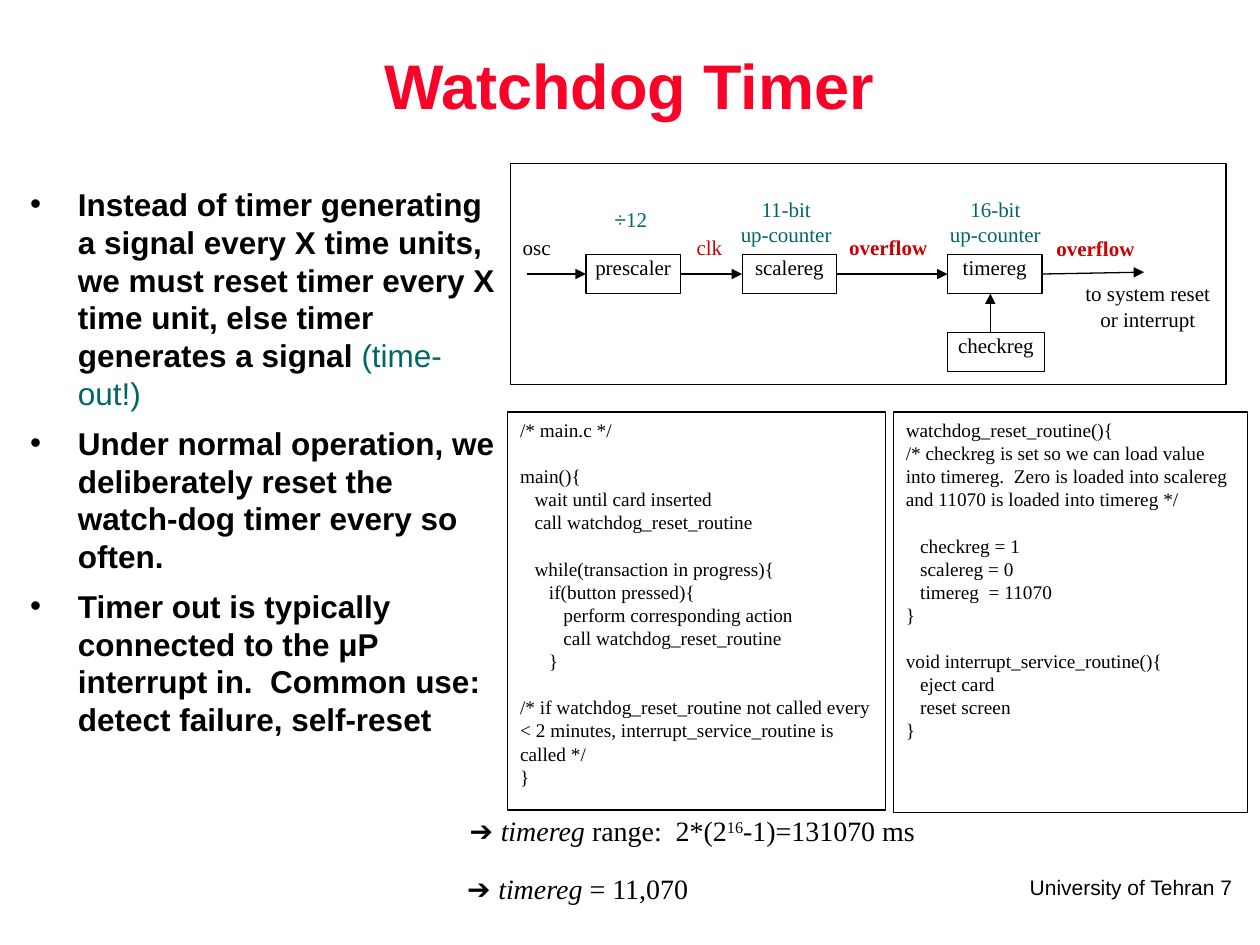
from lxml.etree import SubElement
from pptx import Presentation
from pptx.dml.color import RGBColor
from pptx.enum.shapes import MSO_CONNECTOR, MSO_SHAPE
from pptx.enum.text import MSO_ANCHOR, PP_ALIGN
from pptx.oxml.ns import qn
from pptx.util import Inches, Pt

BLACK = RGBColor(0x00, 0x00, 0x00)
TITLE_RED = RGBColor(0xFC, 0x01, 0x28)
SIGNAL_RED = RGBColor(0xCC, 0x00, 0x00)
TEAL = RGBColor(0x00, 0x66, 0x66)
SANS, SERIF = "Arial", "Times New Roman"
LEFT, CENTER, RIGHT = PP_ALIGN.LEFT, PP_ALIGN.CENTER, PP_ALIGN.RIGHT

ROW_Y, BOX_W, BOX_H = 2.02, 0.75, 0.31   # register row of the diagram
WIRE_Y = ROW_Y + BOX_H / 2
CODE_SIZE, CODE_LINE, CODE_STEP = 11, 13.2, 8.25   # points

# Code lines: (nesting level, blank lines before, text)
MAIN_CODE = [
    (0, 0, "/* main.c */"),
    (0, 1, "main(){"),
    (1, 0, "wait until card inserted"),
    (1, 0, "call watchdog_reset_routine"),
    (1, 1, "while(transaction in progress){"),
    (2, 0, "if(button pressed){"),
    (3, 0, "perform corresponding action"),
    (3, 0, "call watchdog_reset_routine"),
    (2, 0, "}"),
    (0, 1, "/* if watchdog_reset_routine not called every < 2 minutes, "
           "interrupt_service_routine is called */"),
    (0, 0, "}"),
]
RESET_CODE = [
    (0, 0, "watchdog_reset_routine(){"),
    (0, 0, "/* checkreg is set so we can load value into timereg.  Zero is "
           "loaded into scalereg and 11070 is loaded into timereg */"),
    (1, 1, "checkreg = 1"),
    (1, 0, "scalereg = 0"),
    (1, 0, "timereg  = 11070"),
    (0, 0, "}"),
    (0, 1, "void interrupt_service_routine(){"),
    (1, 0, "eject card"),
    (1, 0, "reset screen"),
    (0, 0, "}"),
]
BULLETS = [
    [("Instead of timer generating a signal every X time units, we must reset "
      "timer every X time unit, else timer generates a signal ", {}),
     ("(time-out!)", {"color": TEAL, "bold": False})],
    [("Under normal operation, we deliberately reset the watch-dog timer "
      "every so often.", {})],
    [("Timer out is typically connected to the μP interrupt in.  Common use: "
      "detect failure, self-reset", {})],
]


def write(p, text, size=12, font=SERIF, color=BLACK, bold=False, italic=False,
          raised=False):
    """Add one formatted run to a paragraph."""
    r = p.add_run()
    r.text = text
    f = r.font
    f.size, f.name, f.bold, f.italic = Pt(size), font, bold, italic
    f.color.rgb = color
    if raised:
        f._element.set("baseline", "30000")


def paragraphs(tf, count):
    return [tf.paragraphs[0]] + [tf.add_paragraph() for _ in range(count - 1)]


def set_frame(tf, padded, wrap=True):
    tf.word_wrap = wrap
    tf.vertical_anchor = MSO_ANCHOR.TOP
    tf.margin_left = tf.margin_right = Inches(0.1 if padded else 0)
    tf.margin_top = tf.margin_bottom = Inches(0.05 if padded else 0)


def add_text(slide, x, y, w, h, lines=(), align=CENTER, padded=False,
             wrap=True, **fmt):
    """Add a text box with one paragraph per line."""
    sp = slide.shapes.add_textbox(Inches(x), Inches(y), Inches(w), Inches(h))
    tf = sp.text_frame
    set_frame(tf, padded, wrap)
    for p, line in zip(paragraphs(tf, len(lines)), lines):
        p.alignment = align
        write(p, line, **fmt)
    return tf


def add_box(slide, x, y, w, h, label=None, padded=False):
    sp = slide.shapes.add_shape(MSO_SHAPE.RECTANGLE, Inches(x), Inches(y),
                                Inches(w), Inches(h))
    sp.shadow.inherit = False
    sp.fill.background()
    sp.line.color.rgb, sp.line.width = BLACK, Pt(0.75)
    set_frame(sp.text_frame, padded)
    if label:
        p = sp.text_frame.paragraphs[0]
        p.alignment = CENTER
        write(p, label)
    return sp


def add_arrow(slide, start, end, source=None, target=None):
    """Draw an arrow; source is left at its right side, target met at its left."""
    c = slide.shapes.add_connector(MSO_CONNECTOR.STRAIGHT,
                                   *(Inches(v) for v in (*start, *end)))
    if source is not None:
        c.begin_connect(source, 3)
    if target is not None:
        c.end_connect(target, 1)
    c.line.color.rgb, c.line.width = BLACK, Pt(0.75)
    SubElement(c.line._get_or_add_ln(), qn("a:tailEnd"), type="triangle")
    SubElement(c._element.spPr, qn("a:effectLst"))


def add_code(slide, x, y, w, h, lines):
    tf = add_box(slide, x, y, w, h, padded=True).text_frame
    for p, (level, gap, text) in zip(paragraphs(tf, len(lines)), lines):
        p.alignment = LEFT
        p.space_before = Pt(gap * CODE_LINE)
        p._p.get_or_add_pPr().set("marL", str(Pt(level * CODE_STEP)))
        write(p, text, size=CODE_SIZE)


def add_bullets(slide):
    tf = add_text(slide, 0.14, 1.42, 3.91, 6, padded=True)
    for p, runs in zip(paragraphs(tf, len(BULLETS)), BULLETS):
        p.space_before = Pt(6.8)
        pPr = p._p.get_or_add_pPr()
        pPr.set("marL", str(Inches(0.38)))
        pPr.set("indent", str(-Inches(0.38)))
        SubElement(pPr, qn("a:buFont"), typeface=SANS)
        SubElement(pPr, qn("a:buChar"), char="•")
        for text, fmt in runs:
            write(p, text, **{"size": 18, "font": SANS, "bold": True, **fmt})


def add_note(slide, x, y, w, runs):
    """Add an arrow-marked result line below the code."""
    p = add_text(slide, x, y, w, 0.32, padded=True, wrap=False).paragraphs[0]
    p.line_spacing, p.space_before = 0.8, Pt(4)
    write(p, "➔ ", size=16, font=SANS)
    for text, fmt in runs:
        write(p, text, size=16, **fmt)


def add_title(slide, text):
    sp = slide.shapes.title
    sp.left, sp.top, sp.width, sp.height = map(Inches, (1.08, 0.08, 7.83, 1.25))
    set_frame(sp.text_frame, padded=True)
    sp.text_frame.vertical_anchor = MSO_ANCHOR.MIDDLE
    p = sp.text_frame.paragraphs[0]
    p.alignment, p.line_spacing = CENTER, 0.9
    write(p, text, size=36, font=SANS, color=TITLE_RED, bold=True)


def add_diagram(slide):
    add_box(slide, 4.05, 1.3, 5.68, 1.75)

    # Registers and the wires between them
    prescaler, scalereg, timereg = (
        add_box(slide, x, ROW_Y, BOX_W, BOX_H, name)
        for x, name in ((4.65, "prescaler"), (5.89, "scalereg"),
                        (7.52, "timereg")))
    add_box(slide, 7.52, 2.64, 0.77, BOX_H, "checkreg")
    add_arrow(slide, (4.18, WIRE_Y), (4.65, WIRE_Y), target=prescaler)
    add_arrow(slide, (5.4, WIRE_Y), (5.89, WIRE_Y), prescaler, scalereg)
    add_arrow(slide, (6.64, WIRE_Y), (7.52, WIRE_Y), scalereg, timereg)
    add_arrow(slide, (8.27, WIRE_Y), (9.08, 2.16), source=timereg)
    add_arrow(slide, (7.86, 2.64), (7.86, ROW_Y + BOX_H))

    # Signal names
    add_text(slide, 4.11, 1.86, 0.3, BOX_H, ["osc"])
    add_text(slide, 5.48, 1.86, 0.3, BOX_H, ["clk"], color=SIGNAL_RED)
    for x, y, w in ((6.68, 1.86, 0.74), (8.31, 1.87, 0.77)):
        add_text(slide, x, y, w, 0.26, ["overflow"], color=SIGNAL_RED, bold=True)
    add_text(slide, 8.59, 2.23, 1.04, 0.57, ["to system reset", "or interrupt"])

    # Counter descriptions
    p = add_text(slide, 4.78, 1.59, 0.5, 0.3, padded=True,
                 wrap=False).paragraphs[0]
    write(p, "÷", font=SANS, color=TEAL)
    write(p, "12", color=TEAL)
    for x, bits in ((5.78, "11-bit"), (7.44, "16-bit")):
        add_text(slide, x, 1.51, 0.92, 0.5, [bits, "up-counter"], padded=True,
                 wrap=False, color=TEAL)


def main():
    prs = Presentation()
    prs.slide_width, prs.slide_height = Inches(10), Inches(7.5)
    slide = prs.slides.add_slide(prs.slide_layouts[5])

    add_title(slide, "Watchdog Timer")
    add_diagram(slide)
    add_code(slide, 4.03, 3.27, 3, 3.16, MAIN_CODE)
    add_code(slide, 7.09, 3.27, 2.81, 3.18, RESET_CODE)
    add_bullets(slide)

    # Results and footer
    add_note(slide, 3.63, 6.46, 3.77, [
        ("timereg ", {"italic": True}), ("range:  2*(2", {}),
        ("16", {"raised": True}), ("-1)=131070 ms", {})])
    add_note(slide, 3.61, 6.92, 2.05, [
        ("timereg", {"italic": True}), (" = 11,070", {})])
    add_text(slide, 7.38, 6.89, 2.5, 0.3, ["University of Tehran 7"],
             align=RIGHT, padded=True, wrap=False, font=SANS)

    prs.save("out.pptx")


if __name__ == "__main__":
    main()
